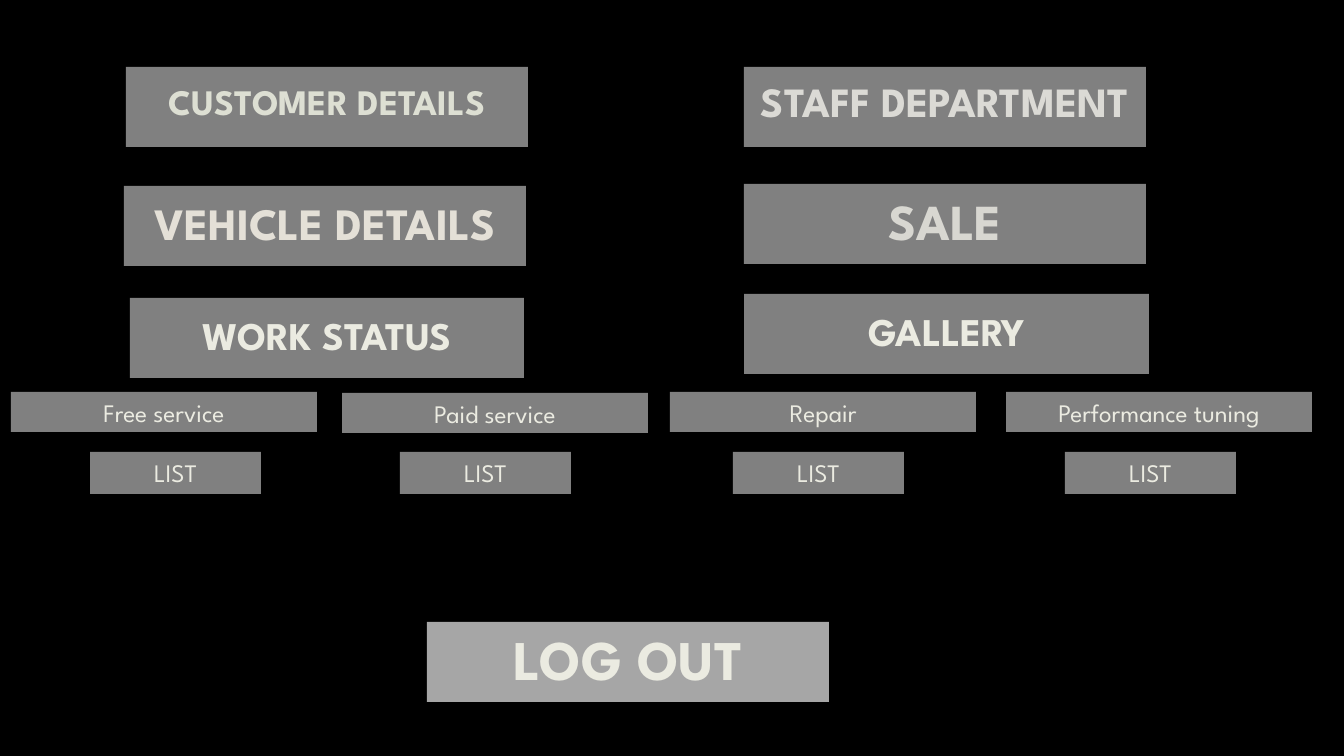
from pptx import Presentation
from pptx import util as u
from pptx.dml import color
from pptx.enum import shapes, text

PX = 914400 / 100.8
WIDTH, HEIGHT = 1344, 756
GREY, LIGHT_GREY, CREAM = "808080", "A6A6A6", "EBEBE1"
BUTTON_HEIGHT = 80
SERVICE_WIDTH, SERVICE_HEIGHT = 306, 40
LIST_TOP, LIST_WIDTH, LIST_HEIGHT = 452, 171, 42

# label, left, top, width, text size, text colour, line spacing
MENU = [
    ("CUSTOMER DETAILS", 126, 67, 402, 25.6, "DDDFD3", 0.7),
    ("VEHICLE DETAILS", 124, 186, 402, 32, "E4E0D7", 0.9),
    ("WORK STATUS", 130, 298, 394, 28, CREAM, 0.9),
    ("STAFF DEPARTMENT", 744, 67, 402, 29.7, "DBDAD5", 0.7),
    ("SALE", 744, 184, 402, 36, "D8D7D1", 0.9),
    ("GALLERY", 744, 294, 405, 28, CREAM, 0.9),
]
# label, left, top, left of its list button
SERVICES = [
    ("Free service", 11, 392, 90),
    ("Paid service", 342, 393, 400),
    ("Repair", 670, 392, 733),
    ("Performance tuning", 1006, 392, 1065),
]


def px(length):
    return u.Emu(round(length * PX))


def rgb(value):
    return color.RGBColor.from_string(value)


class MenuSlide:
    font = "League Spartan"

    def __init__(self, presentation, background):
        self.slide = presentation.slides.add_slide(presentation.slide_layouts[6])
        fill = self.slide.background.fill
        fill.solid()
        fill.fore_color.rgb = rgb(background)

    def box(self, label, bounds, fill, size, ink, spacing, bold, frame_format):
        shape = self.slide.shapes.add_shape(
            shapes.MSO_SHAPE.RECTANGLE, *map(px, bounds))
        shape.shadow.inherit = False
        shape.fill.solid()
        shape.fill.fore_color.rgb = rgb(fill)
        shape.line.fill.background()
        frame = shape.text_frame
        for name, value in {"word_wrap": True, **frame_format}.items():
            setattr(frame, name, value)
        paragraph = frame.paragraphs[0]
        paragraph.alignment = text.PP_ALIGN.CENTER
        paragraph.line_spacing = spacing
        run = paragraph.add_run()
        run.text = label
        font_format = {"name": self.font, "size": u.Pt(size), "bold": bold}
        for name, value in font_format.items():
            setattr(run.font, name, value)
        run.font.color.rgb = rgb(ink)

    def button(self, label, left, top, width, size, ink, spacing, fill=GREY):
        self.box(label, (left, top, width, BUTTON_HEIGHT), fill, size, ink,
                 spacing, True, {"vertical_anchor": text.MSO_ANCHOR.MIDDLE})

    def tag(self, label, left, top, width, height):
        """Add a small box that grows with its text."""
        self.box(label, (left, top, width, height), GREY, 18, CREAM, 1.0, False,
                 {"vertical_anchor": text.MSO_ANCHOR.TOP,
                  "auto_size": text.MSO_AUTO_SIZE.SHAPE_TO_FIT_TEXT})


def main():
    presentation = Presentation()
    presentation.slide_width, presentation.slide_height = px(WIDTH), px(HEIGHT)
    menu = MenuSlide(presentation, "000000")
    for entry in MENU:
        menu.button(*entry)
    for label, left, top, list_left in SERVICES:
        menu.tag(label, left, top, SERVICE_WIDTH, SERVICE_HEIGHT)
        menu.tag("LIST", list_left, LIST_TOP, LIST_WIDTH, LIST_HEIGHT)
    menu.button("LOG OUT", 427, 622, 402, 40, CREAM, 0.9, LIGHT_GREY)
    presentation.save("out.pptx")


if __name__ == "__main__":
    main()
